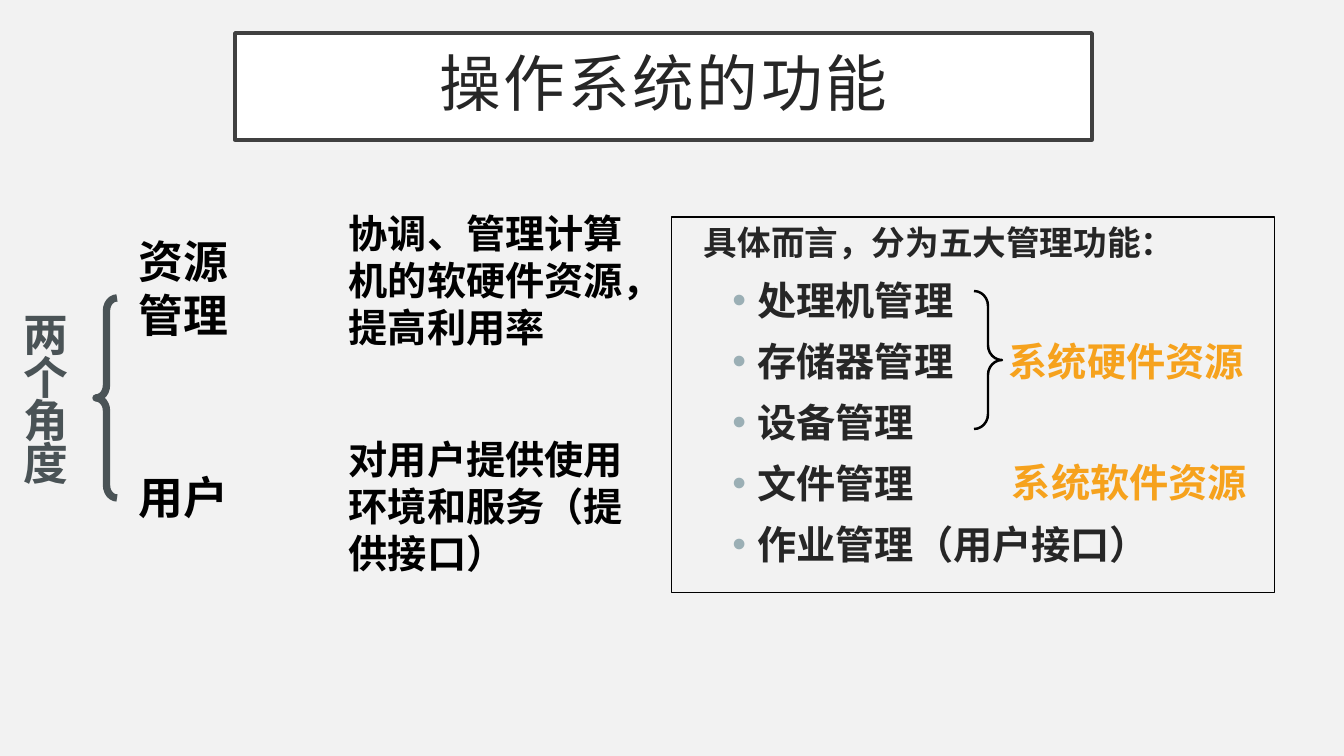
from lxml import etree
from pptx import Presentation, util as u
from pptx.dml.color import RGBColor
from pptx.enum import shapes, text
from pptx.oxml import ns

PX = 914400 / 100.8
INK, SLATE, BLACK, ORANGE = "262626", "4A5356", "000000", "F6A21D"


def px(length):
    return u.Emu(round(length * PX))


def colour(value):
    return RGBColor.from_string(value)


def add_child(parent, tag, **attributes):
    return etree.SubElement(parent, ns.qn(tag), attributes)


class SlideBuilder:
    """Draw styled elements on one slide, with lengths in px."""

    font = "Calibri"
    title_font = "Noto Sans CJK SC"

    def __init__(self, presentation, background):
        self.slide = presentation.slides.add_slide(presentation.slide_layouts[6])
        fill = self.slide.background.fill
        fill.solid()
        fill.fore_color.rgb = colour(background)

    def set_text(self, paragraph, wording, size, ink, bold=True, font=font):
        paragraph.text = wording
        run = paragraph.runs[0]
        run.font.size = u.Pt(size)
        run.font.bold = bold
        run.font.color.rgb = colour(ink)
        run.font.name = font
        add_child(run.font._element, "a:ea", typeface=font)
        return run

    def outline(self, kind, box, line, width, fill=None):
        shape = self.slide.shapes.add_shape(kind, *map(px, box))
        shape.shadow.inherit = False
        if fill:
            shape.fill.solid()
            shape.fill.fore_color.rgb = colour(fill)
        else:
            shape.fill.background()
        shape.line.color.rgb = colour(line)
        shape.line.width = u.Pt(width)
        return shape

    def title(self, wording, box):
        shape = self.outline(shapes.MSO_SHAPE.RECTANGLE, box, "404040", 2.5, "FFFFFF")
        frame = shape.text_frame
        frame.vertical_anchor = text.MSO_ANCHOR.MIDDLE
        frame.margin_left = frame.margin_right = px(20)
        frame.margin_top = frame.margin_bottom = px(20)
        paragraph = frame.paragraphs[0]
        paragraph.alignment = text.PP_ALIGN.CENTER
        paragraph.line_spacing = 0.9
        run = self.set_text(paragraph, wording, 44, INK, False, self.title_font)
        run.font._element.set("spc", "200")

    def label(self, wording, box, size, ink=BLACK, wrap=True, spacing=None):
        frame = self.slide.shapes.add_textbox(*map(px, box)).text_frame
        frame.word_wrap = wrap
        frame.auto_size = text.MSO_AUTO_SIZE.SHAPE_TO_FIT_TEXT
        paragraph = frame.paragraphs[0]
        paragraph.line_spacing = spacing
        self.set_text(paragraph, wording, size, ink)

    def brace(self, box, curve, line, width, rotation=0):
        shape = self.outline(shapes.MSO_SHAPE.LEFT_BRACE, box, line, width)
        shape.adjustments[0] = curve
        shape.adjustments[1] = 0.5
        shape.rotation = rotation

    def bullet_panel(self, heading, items, box):
        shape = self.outline(shapes.MSO_SHAPE.RECTANGLE, box, BLACK, 0.75)
        frame = shape.text_frame
        frame.vertical_anchor = text.MSO_ANCHOR.TOP
        paragraph = frame.paragraphs[0]
        paragraph.alignment = text.PP_ALIGN.LEFT
        paragraph._p.get_or_add_pPr().set("marL", str(px(22)))
        self.set_text(paragraph, heading, 24, INK)
        for item in items:
            paragraph = frame.add_paragraph()
            paragraph.level = 1
            paragraph.alignment = text.PP_ALIGN.LEFT
            paragraph.space_before = u.Pt(10)
            properties = paragraph._p.get_or_add_pPr()
            properties.set("marL", str(u.Inches(0.75)))
            properties.set("indent", str(u.Inches(-0.25)))
            add_child(add_child(properties, "a:buClr"), "a:srgbClr", val="9BAFB5")
            add_child(properties, "a:buFont", typeface="Arial")
            add_child(properties, "a:buChar", char="•")
            self.set_text(paragraph, item, 28, INK)


def main():
    presentation = Presentation()
    presentation.slide_width = px(1344)
    presentation.slide_height = px(756)
    builder = SlideBuilder(presentation, "F2F2F2")

    builder.title("操作系统的功能", (235, 33, 857, 107))
    builder.label("两个角度", (14, 312, 76, 183), 32, SLATE, spacing=0.8)
    builder.brace((96, 298, 21, 200), 0.61, SLATE, 5.25)

    for wording, top in (("协调、管理计算机的软硬件资源，提高利用率", 204),
                         ("对用户提供使用环境和服务（提供接口）", 430)):
        builder.label(wording, (339, top, 302, 151), 28)
    for wording, top, height in (("用户", 465, 63), ("资源管理", 229, 118)):
        builder.label(wording, (129, top, 126, height), 32)

    builder.bullet_panel(
        "具体而言，分为五大管理功能：",
        ("处理机管理", "存储器管理", "设备管理", "文件管理", "作业管理（用户接口）"),
        (672, 217, 603, 376))
    builder.brace((974, 291, 28, 138), 0.53, BLACK, 1.75, 180)
    for wording, left, top in (("系统硬件资源", 999, 332), ("系统软件资源", 1002, 453)):
        builder.label(wording, (left, top, 257, 57), 28, ORANGE, wrap=False)

    presentation.save("out.pptx")


if __name__ == "__main__":
    main()
